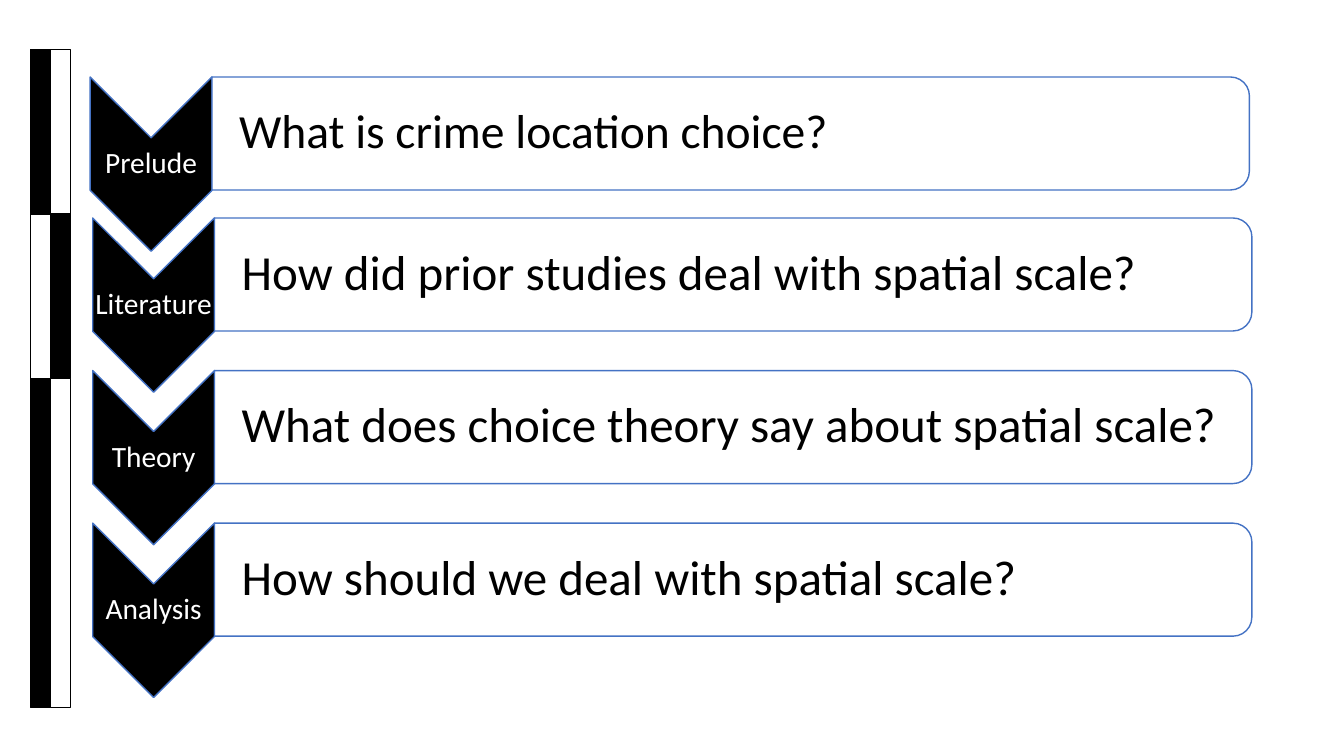
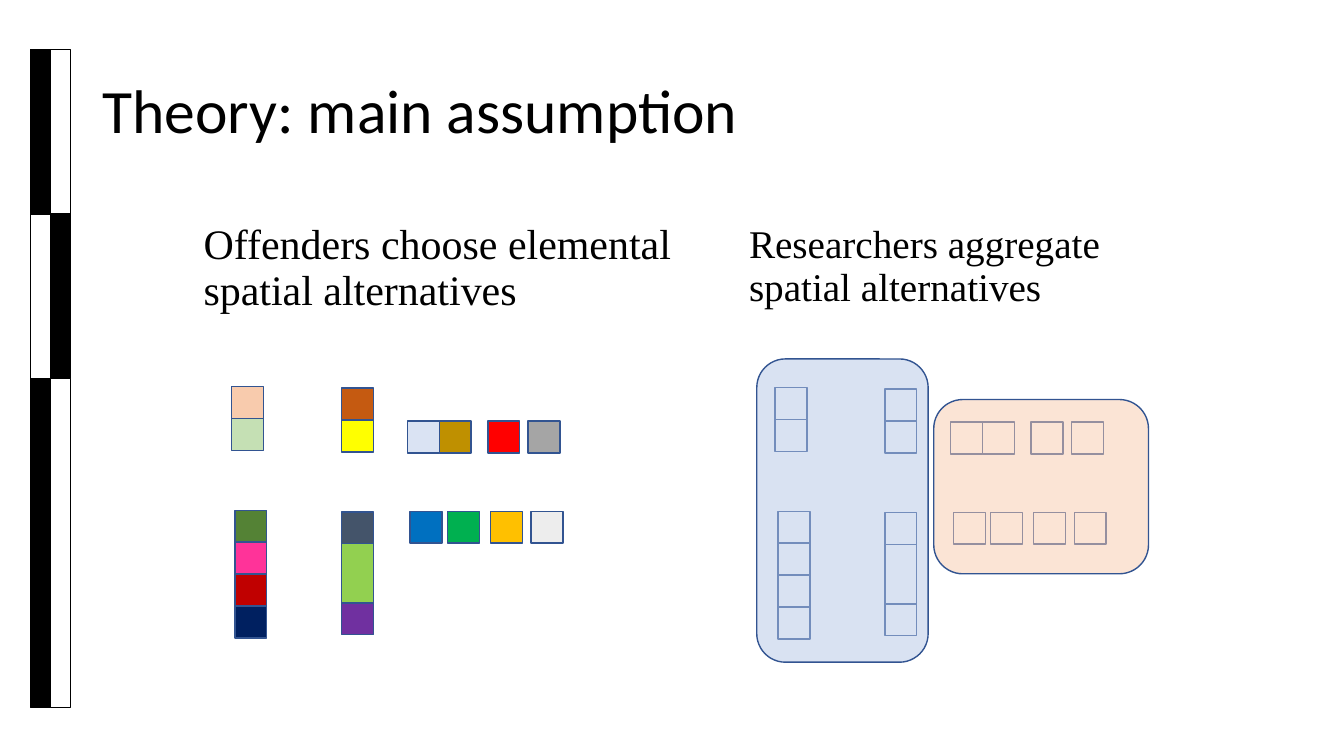
import pptx
import pptx.util
import pptx.dml.color
import pptx.enum.shapes
import pptx.enum.text
import pptx.oxml.ns
import lxml.etree

Pt = pptx.util.Pt
SHAPE = pptx.enum.shapes.MSO_SHAPE
ALIGN = pptx.enum.text.PP_ALIGN
ANCHOR = pptx.enum.text.MSO_ANCHOR
qn = pptx.oxml.ns.qn
rgb = pptx.dml.color.RGBColor.from_string

COLOURS = {
    "black": "000000", "white": "FFFFFF", "row line": "4472C4", "tile line": "325491",
    "peach": "F8CBAD", "mint": "C5E0B4", "rust": "C55A11", "yellow": "FFFF00",
    "moss": "548235", "pink": "FF3399", "crimson": "C00000", "navy": "002060",
    "slate": "44546A", "lime": "92D050", "purple": "7030A0",
    "ice": "DAE3F3", "ochre": "BF9000", "red": "FF0000", "grey": "A5A5A5",
    "blue": "0070C0", "green": "00B050", "amber": "FFC000", "silver": "EDEDED",
    "area blue": "B4C7E7",
}


def add_block(slide, kind, left, top, width, height, fill, line, opacity=100, turned=False):
    """Add a shape by its visible bounds; turned shapes are rotated a quarter clockwise."""
    if turned:
        left, top = left + (width - height) / 2, top + (height - width) / 2
        width, height = height, width
    block = slide.shapes.add_shape(kind, Pt(left), Pt(top), Pt(width), Pt(height))
    block.rotation = 90 if turned else 0
    block.shadow.inherit = False
    block.line.color.rgb = rgb(COLOURS[line])
    block.line.width = Pt(1)
    if fill is None:
        block.fill.background()
        return
    block.fill.solid()
    block.fill.fore_color.rgb = rgb(COLOURS[fill])
    if opacity < 100:
        colour = block.fill._xPr.find(qn("a:solidFill")).find(qn("a:srgbClr"))
        lxml.etree.SubElement(colour, qn("a:alpha")).set("val", str(opacity * 1000))


def set_text(holder, bounds, text, size, font="Calibri", colour="black",
             align=ALIGN.LEFT, anchor=ANCHOR.MIDDLE, before=0, margins=None):
    """Place a text holder and format its single paragraph, without a bullet."""
    holder.left, holder.top, holder.width, holder.height = [Pt(length) for length in bounds]
    frame = holder.text_frame
    frame.text = text
    frame.word_wrap = True
    frame.auto_size = pptx.enum.text.MSO_AUTO_SIZE.NONE
    frame.vertical_anchor = anchor
    if margins:
        frame.margin_left, frame.margin_right = Pt(margins[0]), Pt(margins[1])
        frame.margin_top = frame.margin_bottom = Pt(margins[1])
    paragraph = frame.paragraphs[0]
    paragraph.alignment = align
    paragraph.line_spacing = 0.9
    paragraph.space_before = Pt(before)
    properties = paragraph._p.get_or_add_pPr()
    properties.set("marL", "0")
    properties.set("indent", "0")
    lxml.etree.SubElement(properties, qn("a:buNone"))
    run_font = paragraph.runs[0].font
    run_font.name, run_font.size = font, Pt(size)
    run_font.color.rgb = rgb(COLOURS[colour])


deck = pptx.Presentation()
deck.slide_width, deck.slide_height = Pt(960), Pt(540)
outline = deck.slides.add_slide(deck.slide_layouts[6])
theory = deck.slides.add_slide(deck.slide_layouts[3])

# Chequered band at the left of every slide: (start, length) in units
UNIT, BAND_LEFT, BAND_TOP, BAND_WIDTH = 117.5, 21.6, 35.3, 14.4
for slide in deck.slides:
    for index, (start, length) in enumerate([(0, 1), (1, 1), (2, 2)]):
        for column in range(2):
            fill = "black" if (index + column) % 2 == 0 else "white"
            add_block(slide, SHAPE.RECTANGLE, BAND_LEFT + column * BAND_WIDTH,
                      BAND_TOP + start * UNIT, BAND_WIDTH, length * UNIT, fill, "black")

# Outline: a chevron with its label, and a question bar, per row
ROW_TOP, ROW_PITCH = 155.7, 109
CHEVRON_WIDTH, CHEVRON_HEIGHT, BAR_WIDTH, BAR_HEIGHT = 87, 124.5, 741, 80.7
rows = [
    ("Prelude", "What is crime location choice?", 64.4, 55, 34),
    ("Literature", "How did prior studies deal with spatial scale?", 66.2, ROW_TOP, 35),
    ("Theory", "What does choice theory say about spatial scale?", 66.2, ROW_TOP + ROW_PITCH, 35),
    ("Analysis", "How should we deal with spatial scale?", 66.2, ROW_TOP + 2 * ROW_PITCH, 35),
]
for label, question, left, top, size in rows:
    bar_left = left + CHEVRON_WIDTH
    add_block(outline, SHAPE.CHEVRON, left, top, CHEVRON_WIDTH, CHEVRON_HEIGHT,
              "black", "row line", turned=True)
    set_text(outline.shapes.add_textbox(0, 0, 0, 0),
             (left, top + CHEVRON_WIDTH / 2, CHEVRON_WIDTH, CHEVRON_HEIGHT - CHEVRON_WIDTH),
             label, 21, colour="white", align=ALIGN.CENTER, margins=(0.7, 0.7))
    add_block(outline, SHAPE.ROUND_2_SAME_RECTANGLE, bar_left, top, BAR_WIDTH, BAR_HEIGHT,
              "white", "row line", opacity=90, turned=True)
    set_text(outline.shapes.add_textbox(0, 0, 0, 0), (bar_left, top + 4, BAR_WIDTH - 4, BAR_HEIGHT - 8),
             question, size, margins=(19.4, 1.4))

# Theory: title and the two statements
elemental, aggregate = theory.placeholders[1], theory.placeholders[2]
set_text(theory.shapes.title, (66, 28.8, 828, 104.4), "Theory: main assumption", 44)
set_text(elemental, (138.2, 156.2, 354.2, 84.2), "Offenders choose elemental spatial alternatives",
         30, "Times New Roman", anchor=ANCHOR.TOP, before=10)
set_text(aggregate, (527.8, 157, 311.8, 84.2), "Researchers aggregate spatial alternatives",
         28, "Times New Roman", anchor=ANCHOR.TOP, before=10)

# Spatial alternatives: vertical stacks, then horizontal rows
TILE, TALL_TILE = 22.8, 42.2
stacks = [
    (165.6, 276.3, ["peach", "mint"]),
    (244.1, 277.2, ["rust", "yellow"]),
    (167.8, 364.5, ["moss", "pink", "crimson", "navy"]),
    (244.1, 365.6, ["slate", "lime", "purple"]),
]
tile_rows = [
    (300.8, [(291, "ice"), (313.8, "ochre"), (348.5, "red"), (377.3, "grey")]),
    (365.2, [(293, "blue"), (319.7, "green"), (350.4, "amber"), (379.4, "silver")]),
]
tiles = []
for left, top, colours in stacks:
    for colour in colours:
        height = TALL_TILE if colour == "lime" else TILE
        tiles.append((left, top, height, colour))
        top += height
for top, row in tile_rows:
    tiles += [(left, top, TILE, colour) for left, colour in row]

# Coloured tiles on the left, the same tiles unfilled on the right
AGGREGATE_SHIFT = 388
for left, top, height, colour in tiles:
    add_block(theory, SHAPE.RECTANGLE, left, top, TILE, height, colour, "tile line")
    add_block(theory, SHAPE.RECTANGLE, left + AGGREGATE_SHIFT, top + 0.7, TILE, height,
              None, "tile line")

# Aggregated areas over the unfilled tiles
for bounds, colour in [((540.6, 256.4, 122.4, 216.6), "area blue"),
                       ((667, 285.4, 153.4, 124.5), "peach")]:
    add_block(theory, SHAPE.ROUNDED_RECTANGLE, *bounds, colour, "tile line", opacity=50)

deck.save("out.pptx")
